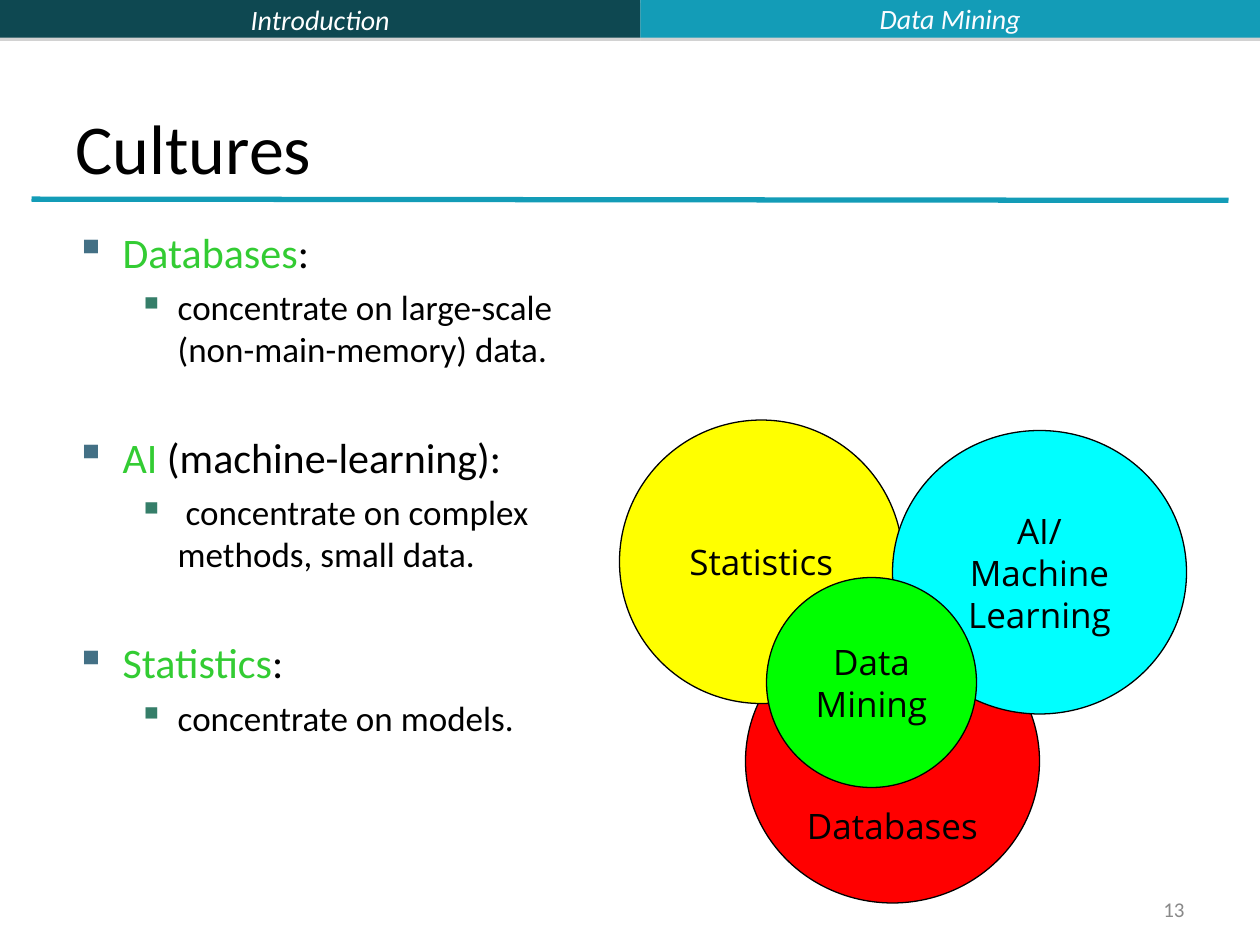
import pptx
import pptx.util
import pptx.dml.color
import pptx.enum.shapes
import pptx.enum.text
import pptx.oxml
import pptx.oxml.ns
from lxml import etree

Pt = pptx.util.Pt
Kind = pptx.enum.shapes.MSO_SHAPE
Align = pptx.enum.text.PP_ALIGN
Anchor = pptx.enum.text.MSO_ANCHOR

TEAL = "139CB7"
GREEN = "33CC33"
BLACK = "000000"
TOPICS = [
    ("Databases", ":", "concentrate on large-scale (non-main-memory) data."),
    ("AI", " (machine-learning):", " concentrate on complex methods, small data."),
    ("Statistics", ":", "concentrate on models."),
]
CIRCLES = [
    ("Databases", "FF0000", (426, 354, 168, 162), 77),
    ("Statistics", "FFFF00", (354, 240, 162, 162), 3.6),
    ("AI/\nMachine Learning", "00FFFF", (510, 246, 168, 162), 3.6),
    ("Data Mining", "00FF00", (438, 330, 120, 120), 3.6),
]


def color(code):
    return pptx.dml.color.RGBColor.from_string(code)


def style(para, size, code, face="Calibri", italic=False):
    font = para.font
    font.size = Pt(size)
    font.name = face
    font.italic = italic
    font.color.rgb = color(code)


def box(slide, place):
    shape = slide.shapes.add_textbox(*map(Pt, place))
    shape.text_frame.word_wrap = True
    return shape.text_frame


def label(slide, place, text, size, code, align, italic=False):
    frame = box(slide, place)
    frame.vertical_anchor = Anchor.MIDDLE
    frame.text = text
    para = frame.paragraphs[0]
    para.alignment = align
    style(para, size, code, italic=italic)


def solid(slide, kind, place, code):
    shape = slide.shapes.add_shape(kind, *map(Pt, place))
    shape.shadow.inherit = False
    shape.fill.solid()
    shape.fill.fore_color.rgb = color(code)
    return shape


def shade(shape):
    effect = shape._element.spPr.find(pptx.oxml.ns.qn("a:effectLst"))
    effect.append(pptx.oxml.parse_xml(
        f'<a:outerShdw {pptx.oxml.ns.nsdecls("a")} blurRad="0" dist="{Pt(1.8)}" '
        'dir="5400000" rotWithShape="0"><a:srgbClr val="808080">'
        '<a:alpha val="35000"/></a:srgbClr></a:outerShdw>'))


def header(slide):
    for left, width, code in [(0, 366, "0E4851"), (366, 354, TEAL)]:
        bar = solid(slide, Kind.RECTANGLE, (left, 0, width, 21.6), code)
        bar.line.fill.background()
        shade(bar)
    label(slide, (0, 0, 366, 21.6), "Introduction", 16, "FFFFFF", Align.CENTER, True)
    label(slide, (366, -2.7, 354, 26.6), "Data Mining", 16, "FBFCFF", Align.CENTER, True)


def rule(slide):
    line = slide.shapes.add_connector(
        pptx.enum.shapes.MSO_CONNECTOR.STRAIGHT, Pt(18), Pt(113.8), Pt(702), Pt(114.5))
    line.line.color.rgb = color(TEAL)
    line.line.width = Pt(3)
    etree.SubElement(line._element.spPr, pptx.oxml.ns.qn("a:effectLst"))


def title(slide, text):
    shape = slide.shapes.title
    shape.left, shape.top, shape.width, shape.height = map(Pt, (36, 21.6, 648, 90))
    frame = shape.text_frame
    frame.text = text
    frame.vertical_anchor = Anchor.BOTTOM
    para = frame.paragraphs[0]
    para.alignment = Align.LEFT
    style(para, 40, BLACK)


def bullet(para, margin, hang, code):
    props = para._p.get_or_add_pPr()
    props.set("marL", str(Pt(margin)))
    props.set("indent", str(Pt(-hang)))
    tint = etree.SubElement(props, pptx.oxml.ns.qn("a:buClr"))
    etree.SubElement(tint, pptx.oxml.ns.qn("a:srgbClr"), val=code)
    etree.SubElement(props, pptx.oxml.ns.qn("a:buChar"), char="▪")


def topics(slide):
    frame = box(slide, (36, 126, 318, 384))
    for index, (name, rest, note) in enumerate(TOPICS):
        head = frame.add_paragraph() if index else frame.paragraphs[0]
        head.space_before = Pt(35.4 if index else 6)
        bullet(head, 27, 27, "437085")
        style(head, 24, BLACK)
        run = head.add_run()
        run.text = name
        run.font.color.rgb = color(GREEN)
        head.add_run().text = rest
        item = frame.add_paragraph()
        item.text = note
        item.level = 1
        item.space_before = Pt(5)
        bullet(item, 58.5, 22.5, "357E69")
        style(item, 20, BLACK)


def circle(slide, text, code, place, inset):
    shape = solid(slide, Kind.OVAL, place, code)
    shape.line.color.rgb = color(BLACK)
    shape.line.width = Pt(0.75)
    frame = shape.text_frame
    frame.word_wrap = True
    frame.vertical_anchor = Anchor.MIDDLE
    frame.margin_top = Pt(inset)
    frame.text = text
    for para in frame.paragraphs:
        para.alignment = Align.CENTER
        style(para, 20, BLACK, "Open Sans")


def main():
    deck = pptx.Presentation()
    deck.slide_width, deck.slide_height = Pt(720), Pt(540)
    slide = deck.slides.add_slide(deck.slide_layouts[5])
    header(slide)
    rule(slide)
    title(slide, "Cultures")
    topics(slide)
    for text, code, place, inset in CIRCLES:
        circle(slide, text, code, place, inset)
    label(slide, (516, 510, 168, 19.4), "13", 12, "898989", Align.RIGHT)
    deck.save("out.pptx")


if __name__ == "__main__":
    main()
